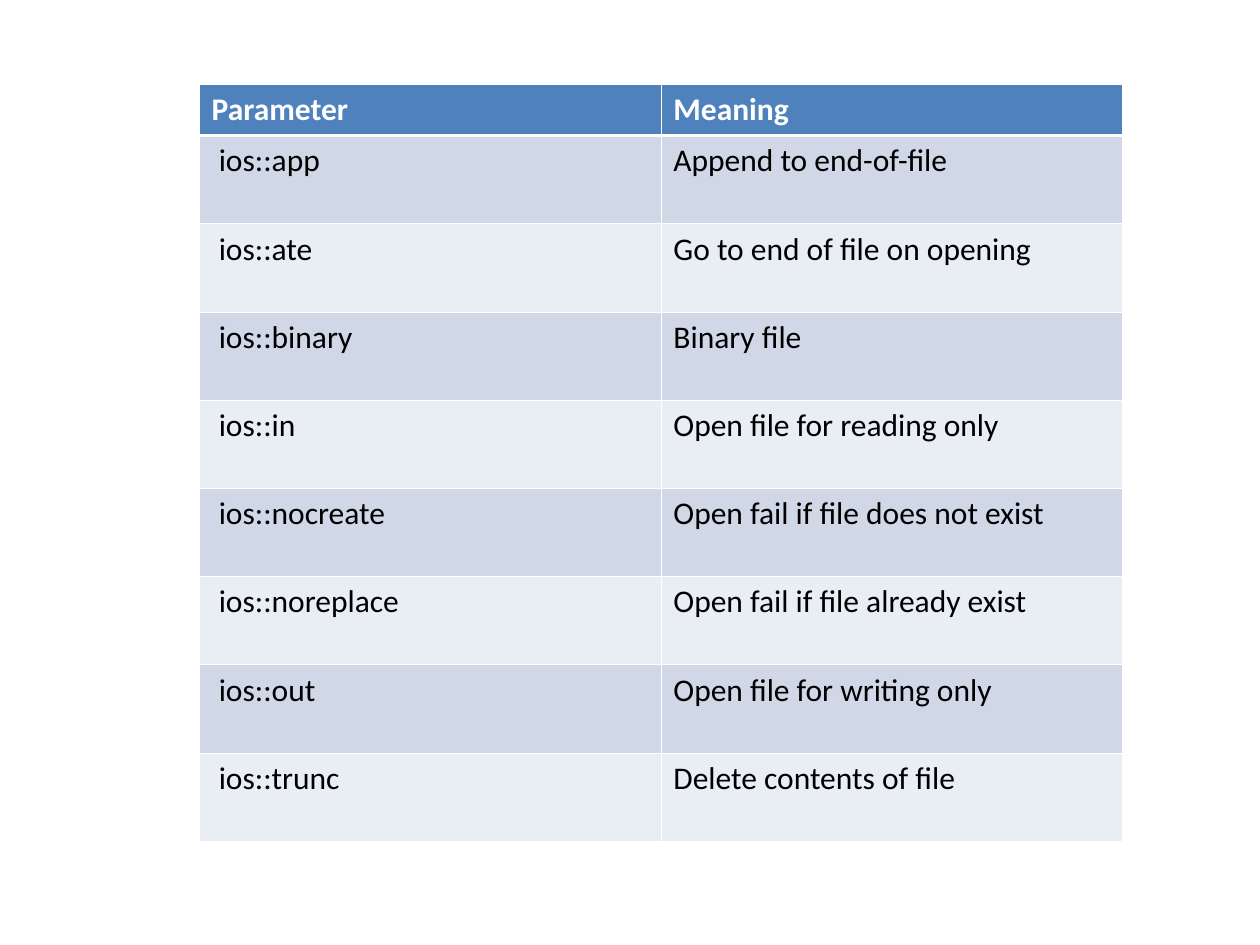
from dataclasses import dataclass

from lxml.etree import SubElement
from pptx import Presentation
from pptx.dml.color import RGBColor as RGB
from pptx.oxml.ns import qn
from pptx.util import Inches, Pt


@dataclass(frozen=True)
class Theme:
    font: str = "Calibri"
    size: Pt = Pt(18)
    head: RGB = RGB(0x4F, 0x81, 0xBD)
    bands: tuple = (RGB(0xD0, 0xD8, 0xE8), RGB(0xE9, 0xED, 0xF4))
    white: RGB = RGB(0xFF, 0xFF, 0xFF)
    black: RGB = RGB(0, 0, 0)
    thin: Pt = Pt(0.45)
    thick: Pt = Pt(1.47)


theme = Theme()


def add_edge(cell, side, width):
    """Draw one white cell border; call before the cell is filled."""
    props = cell._tc.get_or_add_tcPr()
    line = SubElement(props, qn(f"a:ln{side}"), w=str(int(width)))
    fill = SubElement(line, qn("a:solidFill"))
    SubElement(fill, qn("a:srgbClr"), val=str(theme.white))


rows = [
    ("Parameter", "Meaning"),
    (" ios::app", "Append to end-of-file"),
    (" ios::ate", "Go to end of file on opening"),
    (" ios::binary", "Binary file"),
    (" ios::in", "Open file for reading only"),
    (" ios::nocreate", "Open fail if file does not exist"),
    (" ios::noreplace", "Open fail if file already exist"),
    (" ios::out", "Open file for writing only"),
    (" ios::trunc", "Delete contents of file"),
]

deck = Presentation()
deck.slide_width, deck.slide_height = Inches(10), Inches(7.5)
slide = deck.slides.add_slide(deck.slide_layouts[6])

table = slide.shapes.add_table(
    len(rows), 2, Inches(1.58), Inches(0.67), Inches(7.33), Inches(6)
).table

for r, texts in enumerate(rows):
    head = r == 0
    table.rows[r].height = Inches(0.4 if head else 0.7)
    for c, text in enumerate(texts):
        cell = table.cell(r, c)
        for side in "LRTB":
            rule = (r, side) in ((0, "B"), (1, "T"))
            add_edge(cell, side, theme.thick if rule else theme.thin)
        cell.fill.solid()
        cell.fill.fore_color.rgb = theme.head if head else theme.bands[(r - 1) % 2]
        cell.text_frame.text = text
        font = cell.text_frame.paragraphs[0].runs[0].font
        font.name, font.size, font.bold = theme.font, theme.size, head
        font.color.rgb = theme.white if head else theme.black

deck.save("out.pptx")
